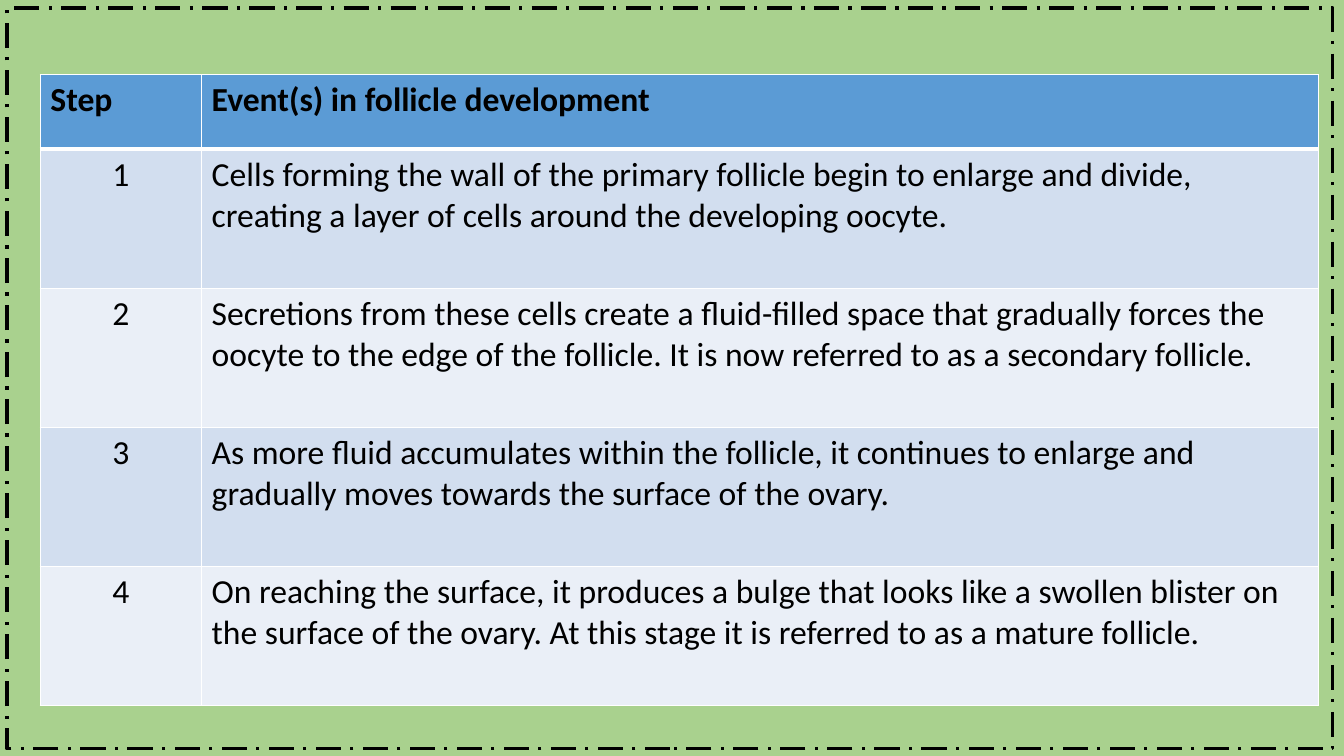
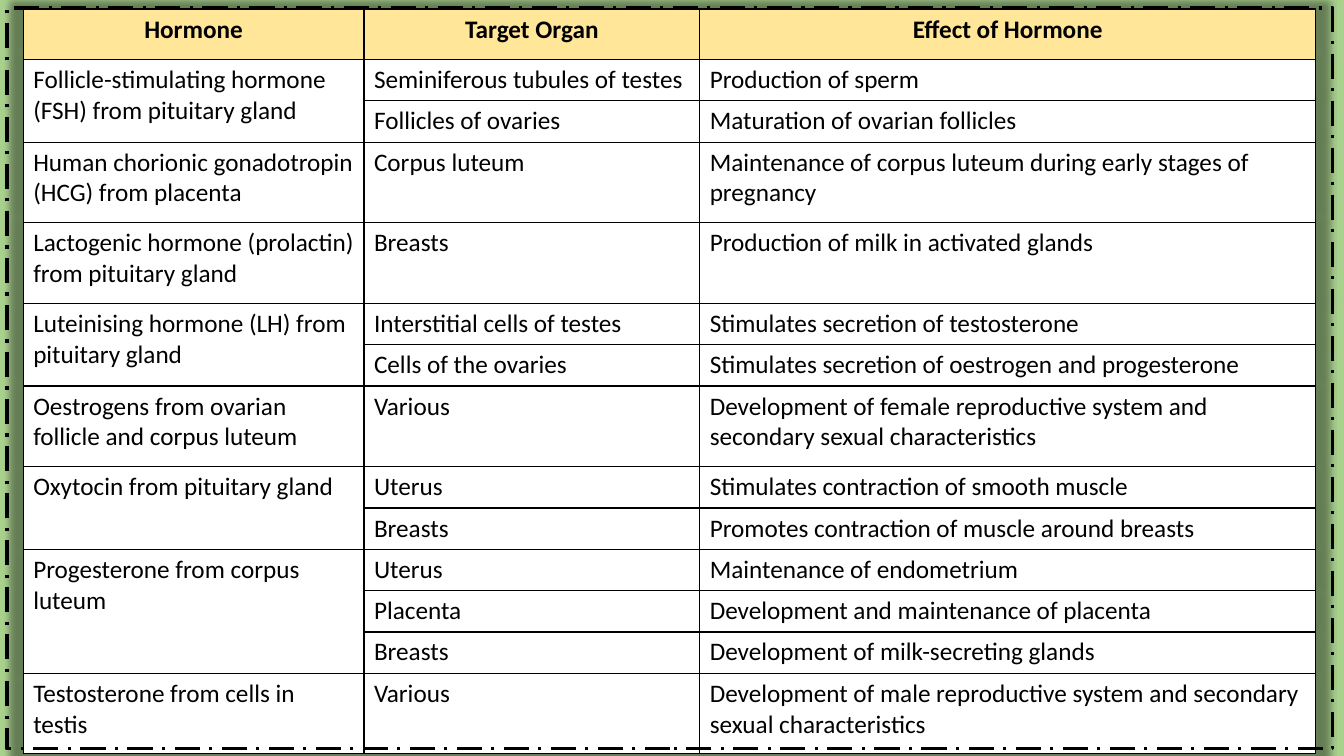
"""Builds two table slides on follicle development and reproductive hormones."""
from dataclasses import dataclass

from lxml.etree import SubElement
from pptx import Presentation
from pptx.dml.color import RGBColor as RGB
from pptx.enum.dml import MSO_LINE_DASH_STYLE as DASH
from pptx.enum.shapes import MSO_SHAPE as SHAPE
from pptx.enum.text import PP_ALIGN as ALIGN
from pptx.oxml import parse_xml
from pptx.oxml.ns import nsdecls, qn
from pptx.util import Inches, Pt


@dataclass(frozen=True)
class Theme:
    font: str = "Calibri"
    large: int = 24
    small: int = 18
    page: str = "A9D18E"
    ink: str = "000000"
    white: str = "FFFFFF"
    blue: str = "5B9BD5"
    blue_bands: tuple = ("D2DEEF", "EAEFF7")
    yellow: str = "FFE699"


THEME = Theme()


@dataclass(frozen=True)
class TableStyle:
    size: int
    header: str
    bands: tuple
    line: str
    header_rule: float = 1
    header_align: ALIGN = ALIGN.LEFT
    first_align: ALIGN = ALIGN.LEFT


STEP_STYLE = TableStyle(THEME.large, THEME.blue, THEME.blue_bands, THEME.white,
                        header_rule=3, first_align=ALIGN.CENTER)
HORMONE_STYLE = TableStyle(THEME.small, THEME.yellow, (THEME.white,), THEME.ink,
                           header_align=ALIGN.CENTER)

STEPS = [
    ("Step", "Event(s) in follicle development"),
    ("1", "Cells forming the wall of the primary follicle begin to enlarge and divide, "
          "creating a layer of cells around the developing oocyte."),
    ("2", "Secretions from these cells create a fluid-filled space that gradually forces "
          "the oocyte to the edge of the follicle. It is now referred to as a secondary "
          "follicle."),
    ("3", "As more fluid accumulates within the follicle, it continues to enlarge and "
          "gradually moves towards the surface of the ovary."),
    ("4", "On reaching the surface, it produces a bulge that looks like a swollen blister "
          "on the surface of the ovary. At this stage it is referred to as a mature "
          "follicle."),
]

HORMONES = [
    ("Follicle-stimulating hormone (FSH) from pituitary gland", [
        ("Seminiferous tubules of testes", "Production of sperm"),
        ("Follicles of ovaries", "Maturation of ovarian follicles")]),
    ("Human chorionic gonadotropin (HCG) from placenta", [
        ("Corpus luteum", "Maintenance of corpus luteum during early stages of pregnancy")]),
    ("Lactogenic hormone (prolactin) from pituitary gland", [
        ("Breasts", "Production of milk in activated glands")]),
    ("Luteinising hormone (LH) from pituitary gland", [
        ("Interstitial cells of testes", "Stimulates secretion of testosterone"),
        ("Cells of the ovaries", "Stimulates secretion of oestrogen and progesterone")]),
    ("Oestrogens from ovarian follicle and corpus luteum", [
        ("Various", "Development of female reproductive system and secondary sexual "
                    "characteristics")]),
    ("Oxytocin from pituitary gland", [
        ("Uterus", "Stimulates contraction of smooth muscle"),
        ("Breasts", "Promotes contraction of muscle around breasts")]),
    ("Progesterone from corpus luteum", [
        ("Uterus", "Maintenance of endometrium"),
        ("Placenta", "Development and maintenance of placenta"),
        ("Breasts", "Development of milk-secreting glands")]),
    ("Testosterone from cells in testis", [
        ("Various", "Development of male reproductive system and secondary sexual "
                    "characteristics")]),
]


class Deck:
    def __init__(self, theme):
        self.theme = theme
        self.prs = Presentation()
        self.prs.slide_width, self.prs.slide_height = Inches(13.33), Inches(7.5)

    def slide(self):
        self.s = self.prs.slides.add_slide(self.prs.slide_layouts[6])
        fill = self.s.background.fill
        fill.solid()
        fill.fore_color.rgb = RGB.from_string(self.theme.page)

    def frame(self):
        sp = self.s.shapes.add_shape(SHAPE.RECTANGLE, Inches(0.07), Inches(0.08),
                                     Inches(13.15), Inches(7.35))
        sp.shadow.inherit = False
        sp.fill.background()
        sp.line.color.rgb = RGB.from_string(self.theme.ink)
        sp.line.width = Pt(2.25)
        sp.line.dash_style = DASH.LONG_DASH_DOT

    def table(self, left, top, widths, heights, rows, style):
        table = self.s.shapes.add_table(
            len(rows), len(widths), Inches(left), Inches(top),
            Inches(sum(widths)), Inches(sum(heights))).table
        table.first_row = table.horz_banding = False
        for column, width in zip(table.columns, widths):
            column.width = Inches(width)
        for row, height in zip(table.rows, heights):
            row.height = Inches(height)
        for i, texts in enumerate(rows):
            for j, text in enumerate(texts):
                self.cell(table.cell(i, j), text, i, j, style)
        return table

    def cell(self, cell, text, i, j, style):
        header = i == 0
        rule = style.header_rule
        self.borders(cell, style.line, top=rule if i == 1 else 1,
                     bottom=rule if header else 1)
        cell.fill.solid()
        color = style.header if header else style.bands[(i - 1) % len(style.bands)]
        cell.fill.fore_color.rgb = RGB.from_string(color)
        cell.text_frame.text = text
        p = cell.text_frame.paragraphs[0]
        if header:
            p.alignment = style.header_align
        else:
            p.alignment = style.first_align if j == 0 else ALIGN.LEFT
        for r in p.runs:
            r.font.name = self.theme.font
            r.font.size = Pt(style.size)
            r.font.bold = header
            r.font.color.rgb = RGB.from_string(self.theme.ink)

    def borders(self, cell, color, top, bottom):
        tc_pr = cell._tc.get_or_add_tcPr()
        for side, width in (("L", 1), ("R", 1), ("T", top), ("B", bottom)):
            line = SubElement(tc_pr, qn(f"a:ln{side}"), w=str(Pt(width)))
            SubElement(SubElement(line, qn("a:solidFill")), qn("a:srgbClr"), val=color)

    def table_shadow(self, table):
        table._tbl.tblPr.insert(0, parse_xml(
            f'<a:effectLst {nsdecls("a")}><a:outerShdw blurRad="63500" sx="102000" '
            f'sy="102000" algn="ctr" rotWithShape="0"><a:srgbClr val="{self.theme.ink}">'
            '<a:alpha val="40000"/></a:srgbClr></a:outerShdw></a:effectLst>'))


def follicle_slide(deck):
    deck.slide()
    deck.table(0.4, 0.74, [1.6, 11.08], [0.74] + [1.38] * 4, STEPS, STEP_STYLE)
    deck.frame()


def hormone_slide(deck):
    deck.slide()
    rows = [("Hormone", "Target Organ", "Effect of Hormone")]
    heights = [0.5]
    spans = []
    for hormone, effects in HORMONES:
        spans.append((len(rows), len(rows) + len(effects) - 1))
        for k, (target, effect) in enumerate(effects):
            rows.append(("" if k else hormone, target, effect))
            heights.append(0.41 if len(effects) > 1 else 0.8)
    table = deck.table(0.23, 0.09, [3.38, 3.33, 6.11], heights, rows, HORMONE_STYLE)
    for first, last in spans:
        if last > first:
            table.cell(first, 0).merge(table.cell(last, 0))
    deck.table_shadow(table)
    deck.frame()


def main():
    deck = Deck(THEME)
    follicle_slide(deck)
    hormone_slide(deck)
    deck.prs.save("out.pptx")


if __name__ == "__main__":
    main()
